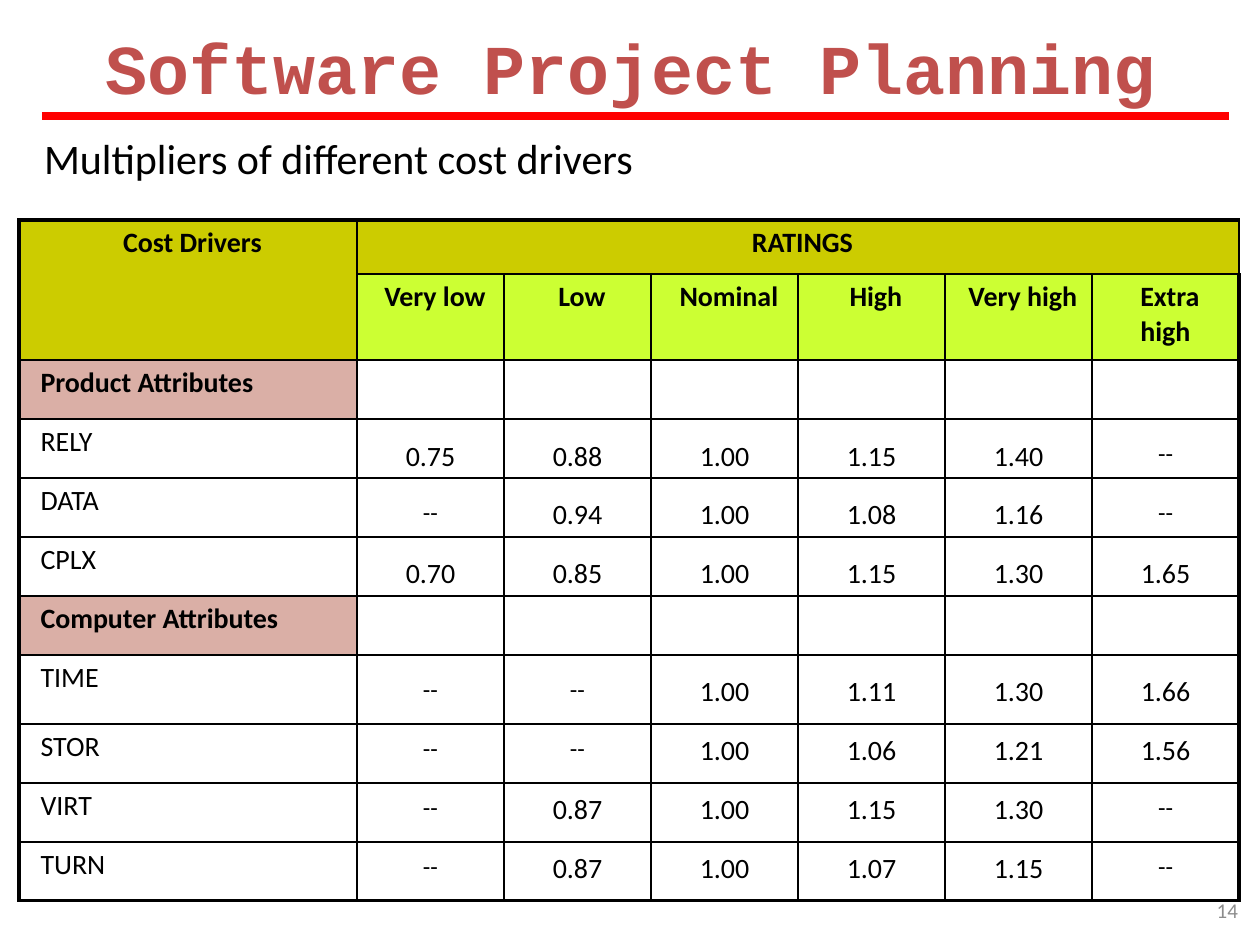
import pptx
import pptx.dml.color
import pptx.enum.shapes
import pptx.enum.text
import pptx.oxml.ns
import pptx.util
from lxml import etree

COLORS = {
    "black": "000000",
    "title": "C0504D",
    "rule": "FF0000",
    "header": "CCCC00",
    "rating": "CCFF33",
    "group": "DAAFA6",
    "page": "8C8C8C",
}
ALIGN = pptx.enum.text.PP_ALIGN
ANCHOR = pptx.enum.text.MSO_ANCHOR

RATINGS = ["Very low", "Low", "Nominal", "High", "Very high", "Extra high"]
GROUPS = {
    "Product Attributes": {
        "RELY": ["0.75", "0.88", "1.00", "1.15", "1.40", "--"],
        "DATA": ["--", "0.94", "1.00", "1.08", "1.16", "--"],
        "CPLX": ["0.70", "0.85", "1.00", "1.15", "1.30", "1.65"],
    },
    "Computer Attributes": {
        "TIME": ["--", "--", "1.00", "1.11", "1.30", "1.66"],
        "STOR": ["--", "--", "1.00", "1.06", "1.21", "1.56"],
        "VIRT": ["--", "0.87", "1.00", "1.15", "1.30", "--"],
        "TURN": ["--", "0.87", "1.00", "1.07", "1.15", "--"],
    },
}
DRIVER_WIDTH, RATING_WIDTH = 338, 147
ROW_HEIGHT = 59
ROW_HEIGHTS = [54, 86] + [ROW_HEIGHT] * 5 + [69] + [ROW_HEIGHT] * 3


def px(length):
    return pptx.util.Emu(round(length * 914400 / 126))


def rgb(name):
    return pptx.dml.color.RGBColor.from_string(COLORS[name])


def style_paragraph(paragraph, size, color="black", font="Calibri", bold=False, align=ALIGN.LEFT):
    paragraph.alignment = align
    paragraph.font.size = pptx.util.Pt(size)
    paragraph.font.name = font
    paragraph.font.bold = bold
    paragraph.font.color.rgb = rgb(color)


def add_text(slide, box, text, size, margins=(12, 6, 12, 6), anchor=ANCHOR.TOP, **style):
    """Place one line of text; margins run left, top, right, bottom."""
    frame = slide.shapes.add_textbox(*map(px, box)).text_frame
    frame.word_wrap = True
    frame.vertical_anchor = anchor
    frame.margin_left, frame.margin_top, frame.margin_right, frame.margin_bottom = map(px, margins)
    paragraph = frame.paragraphs[0]
    paragraph.text = text
    style_paragraph(paragraph, size, **style)


def add_heading(slide, box):
    left, top, width, height = box
    add_text(slide, (left, top, width, 97), "Software Project Planning", 40,
             margins=(12, 18, 12, 0), color="title", font="Courier New", bold=True,
             align=ALIGN.CENTER)
    rule_top = top + 110
    rule = slide.shapes.add_connector(
        pptx.enum.shapes.MSO_CONNECTOR.STRAIGHT,
        px(left), px(rule_top), px(left + width + 11), px(rule_top))
    rule.line.color.rgb = rgb("rule")
    rule.line.width = pptx.util.Pt(4.5)
    etree.SubElement(rule._element.spPr, pptx.oxml.ns.qn("a:effectLst"))
    add_text(slide, (left - 10, top + 121, width, height - 121),
             "Multipliers of different cost drivers", 24, align=ALIGN.JUSTIFY)


def set_borders(cell, widths):
    """Draw black borders; widths maps a side (L, R, T, B) to points."""
    properties = cell._tc.get_or_add_tcPr()
    for position, (side, width) in enumerate(widths.items()):
        line = etree.Element(pptx.oxml.ns.qn(f"a:ln{side}"), w=str(pptx.util.Pt(width)))
        fill = etree.SubElement(line, pptx.oxml.ns.qn("a:solidFill"))
        etree.SubElement(fill, pptx.oxml.ns.qn("a:srgbClr"), val=COLORS["black"])
        properties.insert(position, line)


def write_cell(cell, text, color=None, bold=True, align=ALIGN.LEFT):
    paragraph = cell.text_frame.paragraphs[0]
    paragraph.text = text
    style_paragraph(paragraph, 16, bold=bold, align=align)
    paragraph.space_before = pptx.util.Pt(7)
    paragraph._p.get_or_add_pPr().set("indent", str(px(9)))
    if color:
        cell.fill.solid()
        cell.fill.fore_color.rgb = rgb(color)


def add_driver_table(slide, box):
    row_count, column_count = len(ROW_HEIGHTS), len(RATINGS) + 1
    table = slide.shapes.add_table(row_count, column_count, *map(px, box)).table
    table.first_row = table.horz_banding = False
    for column, width in zip(table.columns, [DRIVER_WIDTH] + [RATING_WIDTH] * len(RATINGS)):
        column.width = px(width)
    for row, height in zip(table.rows, ROW_HEIGHTS):
        row.height = px(height)

    for row in range(row_count):
        for column in range(column_count):
            cell = table.cell(row, column)
            cell.fill.background()
            outer = {"L": column == 0, "R": column == column_count - 1,
                     "T": row == 0, "B": row == row_count - 1}
            set_borders(cell, {side: 2.25 if edge else 1 for side, edge in outer.items()})

    table.cell(0, 0).merge(table.cell(1, 0))
    table.cell(0, 1).merge(table.cell(0, column_count - 1))
    write_cell(table.cell(0, 0), "Cost Drivers", "header", align=ALIGN.CENTER)
    write_cell(table.cell(0, 1), "RATINGS", "header", align=ALIGN.CENTER)
    for column, rating in enumerate(RATINGS, start=1):
        write_cell(table.cell(1, column), rating, "rating", align=ALIGN.CENTER)

    row = 2
    for group, drivers in GROUPS.items():
        write_cell(table.cell(row, 0), group, "group")
        for offset, driver in enumerate(drivers, start=1):
            write_cell(table.cell(row + offset, 0), driver, bold=False)
        row += len(drivers) + 1


def add_multipliers(slide, box):
    """Lay the values over the table that fills the box."""
    left, top = box[:2]
    row = 2
    for drivers in GROUPS.values():
        group_top = top + sum(ROW_HEIGHTS[:row + 1]) + 19
        for line, values in enumerate(drivers.values()):
            for column, value in enumerate(values):
                value_box = (left + DRIVER_WIDTH + 21 + column * RATING_WIDTH,
                             group_top + line * ROW_HEIGHT, 105, 18)
                add_text(slide, value_box, value, 14 if value == "--" else 16,
                         margins=(0, 0, 0, 0), align=ALIGN.CENTER)
        row += len(drivers) + 1


def main():
    presentation = pptx.Presentation()
    presentation.slide_width, presentation.slide_height = px(1260), px(945)
    slide = presentation.slides.add_slide(presentation.slide_layouts[6])
    add_text(slide, (1187, 885, 63, 50), "14", 12, anchor=ANCHOR.MIDDLE,
             color="page", align=ALIGN.RIGHT)
    add_heading(slide, (42, 6, 1176, 184))
    table_box = (19, 220, DRIVER_WIDTH + RATING_WIDTH * len(RATINGS), sum(ROW_HEIGHTS))
    add_driver_table(slide, table_box)
    add_multipliers(slide, table_box)
    presentation.save("out.pptx")


if __name__ == "__main__":
    main()
